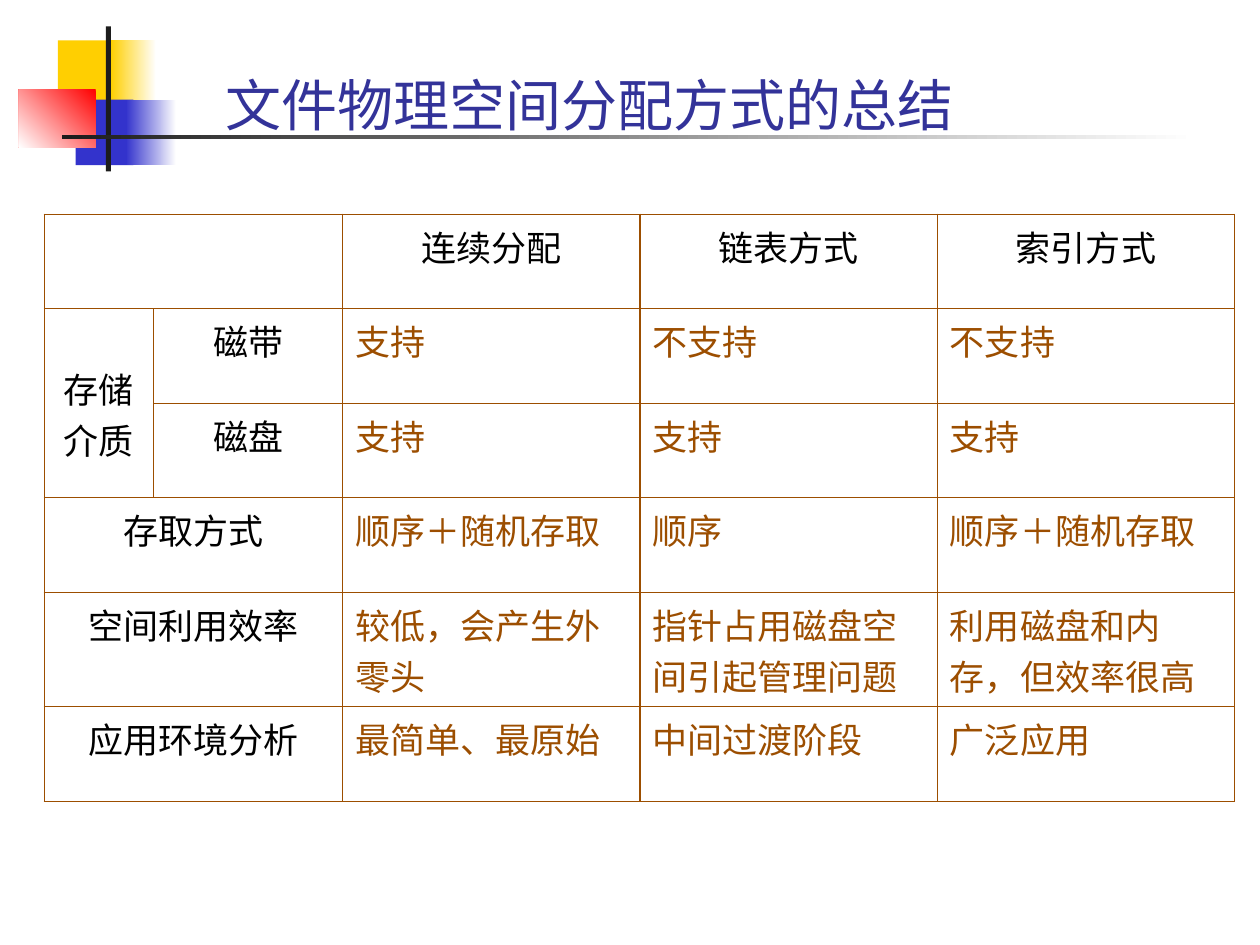
from lxml import etree
from pptx import Presentation
from pptx.dml.color import RGBColor
from pptx.enum.shapes import MSO_SHAPE
from pptx.enum.text import MSO_ANCHOR, PP_ALIGN
from pptx.oxml.ns import qn
from pptx.util import Inches, Pt

RECTANGLE = MSO_SHAPE.RECTANGLE
MIDDLE, TOP = MSO_ANCHOR.MIDDLE, MSO_ANCHOR.TOP
CENTER, LEFT = PP_ALIGN.CENTER, PP_ALIGN.LEFT

WHITE, BLACK, INK = "FFFFFF", "000000", "1C1C1C"
YELLOW, BLUE, RED = "FFCF01", "3333CC", "FF0000"
NAVY, BROWN = "333399", "9C4E00"

LABEL_COLUMNS = 2
COLUMN_WIDTHS = [0.87, 1.5] + [2.36] * 3
ROW_HEIGHTS = [0.75] * 4 + [0.91, 0.75]
ROWS = [
    ["", "", "连续分配", "链表方式", "索引方式"],
    ["存储介质", "磁带", "支持", "不支持", "不支持"],
    ["", "磁盘", "支持", "支持", "支持"],
    ["存取方式", "", "顺序＋随机存取", "顺序", "顺序＋随机存取"],
    ["空间利用效率", "", "较低，会产生外零头", "指针占用磁盘空间引起管理问题", "利用磁盘和内存，但效率很高"],
    ["应用环境分析", "", "最简单、最原始", "中间过渡阶段", "广泛应用"],
]
MEDIA_ROWS = (1, 2)


def color(value):
    return RGBColor.from_string(value)


def style_paragraph(paragraph, name, size, ink, alignment=LEFT):
    """Set font and alignment, and keep punctuation inside the margins."""
    paragraph._p.get_or_add_pPr().set("hangingPunct", "0")
    paragraph.alignment = alignment
    paragraph.font.name = name
    paragraph.font.size = Pt(size)
    paragraph.font.color.rgb = color(ink)


def add_block(slide, box, colors, angle=180):
    """Add a rectangle in one colour, or in a gradient between two."""
    shape = slide.shapes.add_shape(RECTANGLE, *(Inches(length) for length in box))
    shape.shadow.inherit = False
    shape.line.fill.background()
    if len(colors) == 1:
        shape.fill.solid()
        shape.fill.fore_color.rgb = color(colors[0])
        return
    shape.fill.gradient()
    shape.fill.gradient_angle = angle
    for stop, value, position in zip(shape.fill.gradient_stops, colors, (0, 1)):
        stop.color.rgb = color(value)
        stop.position = position


def add_ornament(slide, left, top):
    """Add the coloured squares and the crossing bars."""
    blocks = [
        ((0.31, 0.11, 0.48, 0.52), [YELLOW]),
        ((0.73, 0.11, 0.36, 0.52), [WHITE, YELLOW]),
        ((0.45, 0.58, 0.46, 0.52), [BLUE]),
        ((0.85, 0.58, 0.4, 0.52), [WHITE, BLUE]),
        ((0, 0.5, 0.61, 0.46), [RED, WHITE], 225),
        ((0.69, 0, 0.04, 1.15), [INK]),
        ((0.34, 0.86, 9, 0.03), [WHITE, INK]),
    ]
    for (x, y, width, height), *paint in blocks:
        add_block(slide, (left + x, top + y, width, height), *paint)


def add_title(slide, box, text):
    frame = slide.shapes.add_textbox(*(Inches(length) for length in box)).text_frame
    frame.word_wrap = True
    frame.vertical_anchor = MIDDLE
    frame.text = text
    style_paragraph(frame.paragraphs[0], "Times New Roman", 32, NAVY)


def set_borders(cell, widths):
    properties = cell._tc.get_or_add_tcPr()
    for index, (side, width) in enumerate(zip("LRTB", widths)):
        line = etree.Element(qn(f"a:ln{side}"), w=str(int(Pt(width))))
        fill = etree.SubElement(line, qn("a:solidFill"))
        etree.SubElement(fill, qn("a:srgbClr"), val=BROWN)
        properties.insert(index, line)


def fill_cell(cell, text, row, column):
    cell.fill.background()
    cell.vertical_anchor = TOP
    cell.margin_left = cell.margin_right = Inches(0.1)
    cell.margin_top = cell.margin_bottom = Inches(0.05)
    is_label = row == 0 or column < LABEL_COLUMNS
    cell.text = text
    style_paragraph(cell.text_frame.paragraphs[0], "Roboto", 20,
                    BLACK if is_label else BROWN, CENTER if is_label else LEFT)
    widths = [0.75] * 4
    if row in MEDIA_ROWS and column < LABEL_COLUMNS:
        widths[1 - column] = 0.45
    set_borders(cell, widths)


def add_comparison_table(slide, left, top):
    frame = slide.shapes.add_table(
        len(ROWS), len(COLUMN_WIDTHS), Inches(left), Inches(top),
        Inches(sum(COLUMN_WIDTHS)), Inches(sum(ROW_HEIGHTS)))
    table = frame.table
    table.first_row = table.horz_banding = False
    for column, width in zip(table.columns, COLUMN_WIDTHS):
        column.width = Inches(width)
    for row, height in zip(table.rows, ROW_HEIGHTS):
        row.height = Inches(height)
    for row, texts in enumerate(ROWS):
        for column, text in enumerate(texts):
            fill_cell(table.cell(row, column), text, row, column)
        if row not in MEDIA_ROWS:
            table.cell(row, 0).merge(table.cell(row, LABEL_COLUMNS - 1))
    first, last = MEDIA_ROWS
    media = table.cell(first, 0)
    media.merge(table.cell(last, 0))
    media.margin_top = Inches(0.43)


def main():
    presentation = Presentation()
    presentation.slide_width = Inches(10)
    presentation.slide_height = Inches(7.5)
    slide = presentation.slides.add_slide(presentation.slide_layouts[6])
    add_ornament(slide, 0.15, 0.21)
    add_title(slide, (1.69, 0.36, 6.3, 0.94), "文件物理空间分配方式的总结")
    add_comparison_table(slide, 0.35, 1.7)
    presentation.save("out.pptx")


if __name__ == "__main__":
    main()
